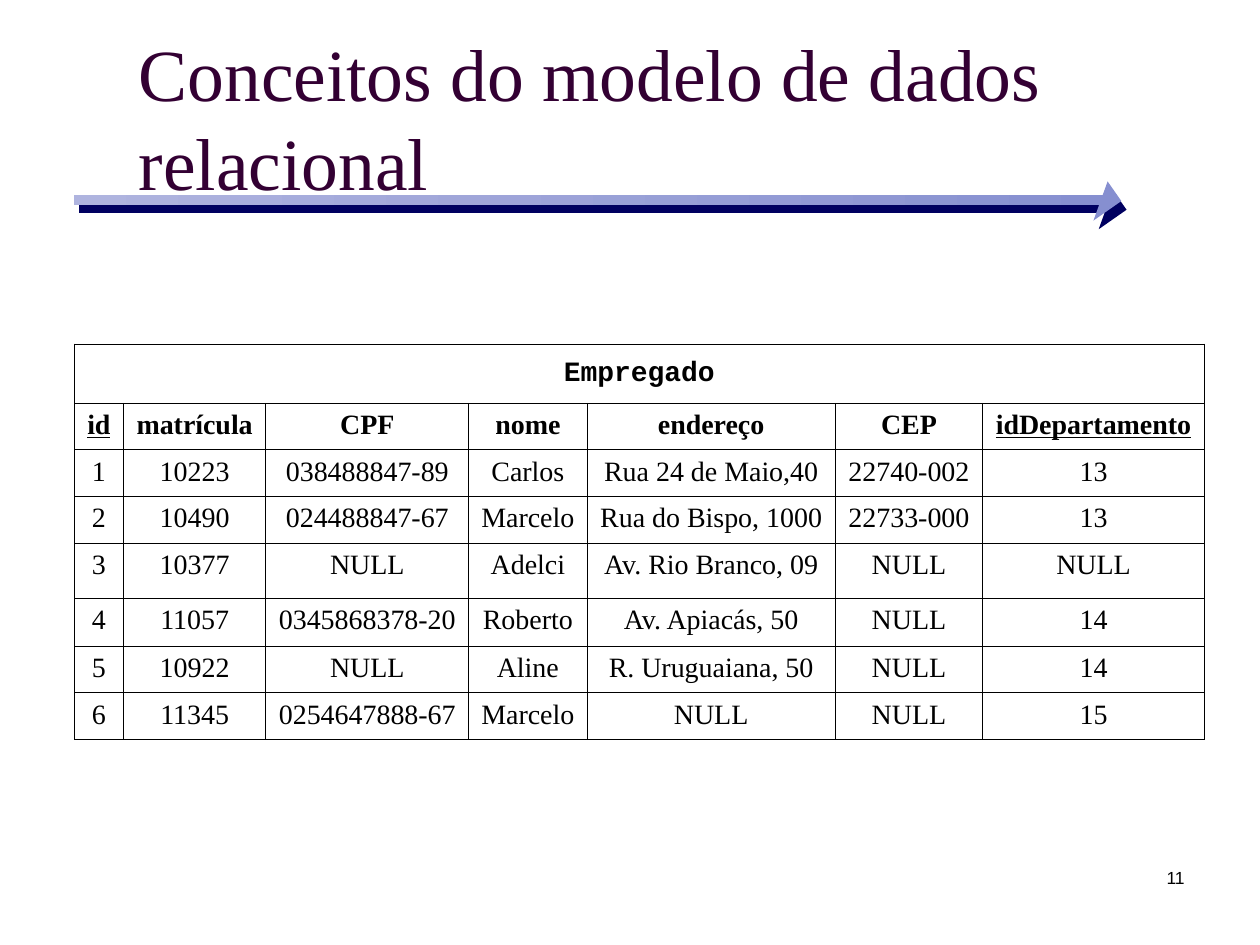
from lxml import etree
from pptx import Presentation
from pptx.dml.color import RGBColor
from pptx.enum.shapes import MSO_SHAPE
from pptx.enum.text import MSO_ANCHOR, MSO_AUTO_SIZE, PP_ALIGN
from pptx.oxml.ns import qn
from pptx.util import Inches, Pt

LEFT, CENTER, RIGHT = PP_ALIGN.LEFT, PP_ALIGN.CENTER, PP_ALIGN.RIGHT
MIDDLE, TOP = MSO_ANCHOR.MIDDLE, MSO_ANCHOR.TOP
RECTANGLE, TRIANGLE = MSO_SHAPE.RECTANGLE, MSO_SHAPE.ISOSCELES_TRIANGLE

THEME = {
    "title": "330033", "ink": "000000", "shadow": "000060",
    "arrow": "868FD0", "arrow_light": "AFB4DF",
    "serif": "Times New Roman", "mono": "Courier New", "sans": "Arial",
    "title_size": 42, "table_size": 16, "number_size": 10, "border": 0.45,
}


def write(frame, text, font, size, color, align, bold=False, underline=False):
    para = frame.paragraphs[0]
    para.alignment = align
    span = para.add_run()
    span.text = text
    span.font.name, span.font.size = THEME[font], Pt(THEME[size])
    span.font.color.rgb = RGBColor.from_string(THEME[color])
    span.font.bold, span.font.underline = bold, underline


def add_part(parent, tag, **attributes):
    return etree.SubElement(parent, qn(tag), attributes)


deck = Presentation()
deck.slide_width, deck.slide_height = Inches(10), Inches(7.5)
page = deck.slides.add_slide(deck.slide_layouts[5])

# Arrow under the title: a shaft and a tilted head, each with a hard shadow
arrow = page.shapes.add_group_shape()
shaft = arrow.shapes.add_shape(
    RECTANGLE, Inches(0.585), Inches(1.545), Inches(8.25), Inches(0.08))
shaft.fill.gradient()
shaft.fill.gradient_angle = 180
for stop, name in zip(shaft.fill.gradient_stops, ("arrow", "arrow_light")):
    stop.color.rgb = RGBColor.from_string(THEME[name])

head = arrow.shapes.add_shape(
    TRIANGLE, Inches(8.64), Inches(1.46), Inches(0.19), Inches(0.27))
head.adjustments[0] = 0
head.rotation = 235
head.fill.solid()
head.fill.fore_color.rgb = RGBColor.from_string(THEME["arrow"])

for piece in (shaft, head):
    piece.line.fill.background()
    piece.shadow.inherit = False
    effects = piece.element.spPr.find(qn("a:effectLst"))
    shadow = add_part(effects, "a:outerShdw", dist=str(Pt(5.8)),
                      dir=str(59 * 60000), algn="ctr", rotWithShape="0")
    add_part(shadow, "a:srgbClr", val=THEME["shadow"])

# Title
title = page.shapes.title
title.left, title.top = Inches(1), Inches(0.3)
title.width, title.height = Inches(8.5), Inches(1.25)
title.text_frame.word_wrap = True
title.text_frame.auto_size = MSO_AUTO_SIZE.NONE
title.text_frame.vertical_anchor = MIDDLE
write(title.text_frame, "Conceitos do modelo de dados relacional",
      "serif", "title_size", "title", LEFT)

# Employee table: caption row, header row, records
headers = ["id", "matrícula", "CPF", "nome", "endereço", "CEP", "idDepartamento"]
keys = {"id", "idDepartamento"}
records = [
    ["1", "10223", "038488847-89", "Carlos", "Rua 24 de Maio,40", "22740-002", "13"],
    ["2", "10490", "024488847-67", "Marcelo", "Rua do Bispo, 1000", "22733-000", "13"],
    ["3", "10377", "NULL", "Adelci", "Av. Rio Branco, 09", "NULL", "NULL"],
    ["4", "11057", "0345868378-20", "Roberto", "Av. Apiacás, 50", "NULL", "14"],
    ["5", "10922", "NULL", "Aline", "R. Uruguaiana, 50", "NULL", "14"],
    ["6", "11345", "0254647888-67", "Marcelo", "NULL", "NULL", "15"],
]
widths = [0.39, 1.13, 1.61, 0.94, 1.97, 1.17, 1.76]
heights = [0.47, 0.37, 0.37, 0.37, 0.44, 0.38, 0.37, 0.37]
table = page.shapes.add_table(
    len(heights), len(widths), Inches(0.59), Inches(2.73),
    Inches(sum(widths)), Inches(sum(heights))).table
table.first_row = table.horz_banding = False
for column, width in zip(table.columns, widths):
    column.width = Inches(width)
for row, height in zip(table.rows, heights):
    row.height = Inches(height)

for cell in table.iter_cells():
    properties = cell._tc.get_or_add_tcPr()
    for side in ("a:lnL", "a:lnR", "a:lnT", "a:lnB"):
        border = add_part(properties, side, w=str(Pt(THEME["border"])))
        add_part(add_part(border, "a:solidFill"), "a:srgbClr", val=THEME["ink"])
    cell.fill.background()
    cell.vertical_anchor = TOP

caption = table.cell(0, 0)
caption.merge(table.cell(0, len(widths) - 1))
caption.vertical_anchor = MIDDLE
write(caption.text_frame, "Empregado", "mono", "table_size", "ink", CENTER, bold=True)

for r, values in enumerate([headers] + records, start=1):
    for c, value in enumerate(values):
        write(table.cell(r, c).text_frame, value, "serif", "table_size", "ink",
              CENTER, bold=r == 1, underline=r == 1 and value in keys)

# Page number
number = page.shapes.add_textbox(
    Inches(7.42), Inches(6.83), Inches(2.08), Inches(0.5))
number.text_frame.word_wrap = True
write(number.text_frame, "11", "sans", "number_size", "ink", RIGHT)

deck.save("out.pptx")
